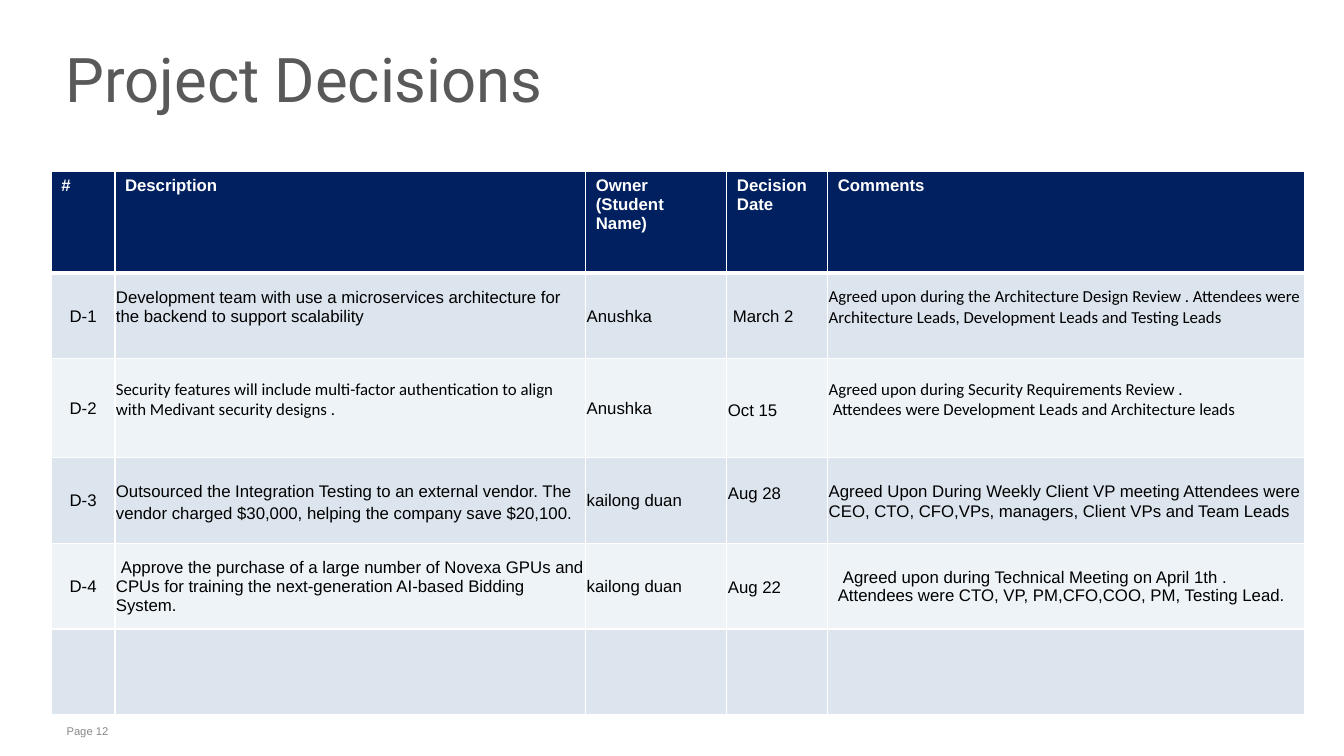
from dataclasses import dataclass

from lxml import etree
from pptx import Presentation
from pptx import util as u
from pptx.dml.color import RGBColor
from pptx.enum import text
from pptx.oxml.ns import qn


@dataclass(frozen=True)
class Theme:
    title_font: str = "Roboto"
    body_font: str = "Arial"
    note_font: str = "Calibri"
    title_size: int = 44
    body_size: int = 12
    footer_size: int = 8
    title_color: str = "595959"
    footer_color: str = "87888A"
    header_fill: str = "002060"
    header_text: str = "FFFFFF"
    body_text: str = "000000"
    bands: tuple = ("DCE5EE", "EEF3F7")
    border: str = "FFFFFF"


THEME = Theme()


@dataclass
class Entry:
    """Cell content; lift raises centred text, indents holds first-line inches."""
    lines: tuple = ()
    font: str = THEME.body_font
    spacing: object = None
    gap: int = 0
    lift: float = 0
    indents: tuple = (0, 0)
    align: object = text.PP_ALIGN.LEFT


def entry(*lines, **style):
    return Entry(lines, **style)


def number(label):
    return entry(label, align=text.PP_ALIGN.CENTER)


HEADINGS = [
    entry("#"), entry("Description"), entry("Owner", "(Student Name)"),
    entry("Decision Date"), entry("Comments"),
]
DECISIONS = [
    [number("D-1"),
     entry("Development team with use a microservices architecture for the "
           "backend to support scalability", lift=0.18),
     entry("Anushka"),
     entry("March 2", indents=(0.05,)),
     entry("Agreed upon during the Architecture Design Review . Attendees were "
           "Architecture Leads, Development Leads and Testing Leads",
           font=THEME.note_font, lift=0.18)],
    [number("D-2"),
     entry("Security features will include multi-factor authentication to align "
           "with Medivant security designs .", font=THEME.note_font, lift=0.18),
     entry("Anushka"),
     entry("Oct 15", spacing=1.15),
     entry("Agreed upon during Security Requirements Review .",
           "Attendees were Development Leads and Architecture leads",
           font=THEME.note_font, lift=0.18, indents=(0, 0.04))],
    [number("D-3"),
     entry("Outsourced the Integration Testing to an external vendor. The vendor "
           "charged $30,000, helping the company save $20,100.",
           spacing=1.15, gap=12),
     entry("kailong duan"),
     entry("Aug 28", spacing=1.15, lift=0.18),
     entry("Agreed Upon During Weekly Client VP meeting Attendees were CEO, CTO, "
           "CFO,VPs, managers, Client VPs and Team Leads", spacing=u.Pt(14.2))],
    [number("D-4"),
     entry("Approve the purchase of a large number of Novexa GPUs and CPUs for "
           "training the next-generation AI-based Bidding System.",
           indents=(0.05,)),
     entry("kailong duan"),
     entry("Aug 22", spacing=1.15),
     entry("Agreed upon during Technical Meeting on April 1th .",
           "Attendees were CTO, VP, PM,CFO,COO, PM, Testing Lead.",
           indents=(0.14, 0.09))],
    [Entry() for _ in HEADINGS],
]
COLUMN_WIDTHS = [0.63, 4.67, 1.4, 1, 4.73]
ROW_HEIGHTS = [1.01, 0.85, 0.98, 0.85, 0.85, 0.85]


class DecisionSlide:
    def __init__(self, presentation, theme):
        self.theme = theme
        self.slide = presentation.slides.add_slide(presentation.slide_layouts[6])

    def add_run(self, paragraph, words, font, size, color, bold=False):
        run = paragraph.add_run()
        run.text = words
        run.font.name, run.font.size, run.font.bold = font, u.Pt(size), bold
        run.font.color.rgb = RGBColor.from_string(color)

    def add_label(self, words, box, font, size, color, inset=0.0, spacing=1.0,
                  anchor=text.MSO_ANCHOR.TOP):
        frame = self.slide.shapes.add_textbox(*map(u.Inches, box)).text_frame
        frame.word_wrap = True
        frame.vertical_anchor = anchor
        frame.margin_left = frame.margin_right = u.Inches(0.08)
        frame.margin_top = frame.margin_bottom = u.Inches(inset)
        frame.paragraphs[0].line_spacing = spacing
        self.add_run(frame.paragraphs[0], words, font, size, color)

    def add_borders(self, cell, bottom_width):
        properties = cell._tc.get_or_add_tcPr()
        for index, side in enumerate(("lnL", "lnR", "lnT", "lnB")):
            width = bottom_width if side == "lnB" else 1
            line = etree.Element(qn(f"a:{side}"), w=str(u.Pt(width)))
            fill = etree.SubElement(line, qn("a:solidFill"))
            etree.SubElement(fill, qn("a:srgbClr"), val=self.theme.border)
            properties.insert(index, line)

    def fill_cell(self, cell, content, fill, header):
        cell.fill.solid()
        cell.fill.fore_color.rgb = RGBColor.from_string(fill)
        self.add_borders(cell, 3 if header else 1)
        side, top, bottom = (0.1, 0.05, 0.05) if header else (0.01, 0.01, content.lift)
        cell.margin_left = cell.margin_right = u.Inches(side)
        cell.margin_top, cell.margin_bottom = u.Inches(top), u.Inches(bottom)
        cell.vertical_anchor = text.MSO_ANCHOR.TOP if header else text.MSO_ANCHOR.MIDDLE
        color = self.theme.header_text if header else self.theme.body_text
        frame = cell.text_frame
        for index, (words, indent) in enumerate(zip(content.lines, content.indents)):
            paragraph = frame.add_paragraph() if index else frame.paragraphs[0]
            paragraph.alignment = content.align
            if content.spacing:
                paragraph.line_spacing = content.spacing
            if content.gap:
                paragraph.space_before = paragraph.space_after = u.Pt(content.gap)
            if indent:
                paragraph._p.get_or_add_pPr().set("indent", str(u.Inches(indent)))
            self.add_run(paragraph, words, content.font, self.theme.body_size,
                         color, header)

    def add_decision_table(self, left, top, headings, decisions):
        rows = [headings, *decisions]
        table = self.slide.shapes.add_table(
            len(rows), len(headings), u.Inches(left), u.Inches(top),
            u.Inches(sum(COLUMN_WIDTHS)), u.Inches(sum(ROW_HEIGHTS))).table
        table.horz_banding = False
        for column, width in zip(table.columns, COLUMN_WIDTHS):
            column.width = u.Inches(width)
        for index, (row, contents) in enumerate(zip(table.rows, rows)):
            row.height = u.Inches(ROW_HEIGHTS[index])
            header = index == 0
            fill = self.theme.header_fill if header else self.theme.bands[(index - 1) % 2]
            for cell, content in zip(row.cells, contents):
                self.fill_cell(cell, content, fill, header)


def main():
    presentation = Presentation()
    presentation.slide_width = u.Inches(13.33)
    presentation.slide_height = u.Inches(7.5)
    page = DecisionSlide(presentation, THEME)
    page.add_label("Page 12", (0.58, 7.14, 10.79, 0.24), THEME.body_font,
                   THEME.footer_size, THEME.footer_color, inset=0.05)
    page.add_label("Project Decisions", (0.57, 0.26, 10.93, 1.19), THEME.title_font,
                   THEME.title_size, THEME.title_color, spacing=0.75,
                   anchor=text.MSO_ANCHOR.MIDDLE)
    page.add_decision_table(0.51, 1.7, HEADINGS, DECISIONS)
    presentation.save("out.pptx")


if __name__ == "__main__":
    main()
